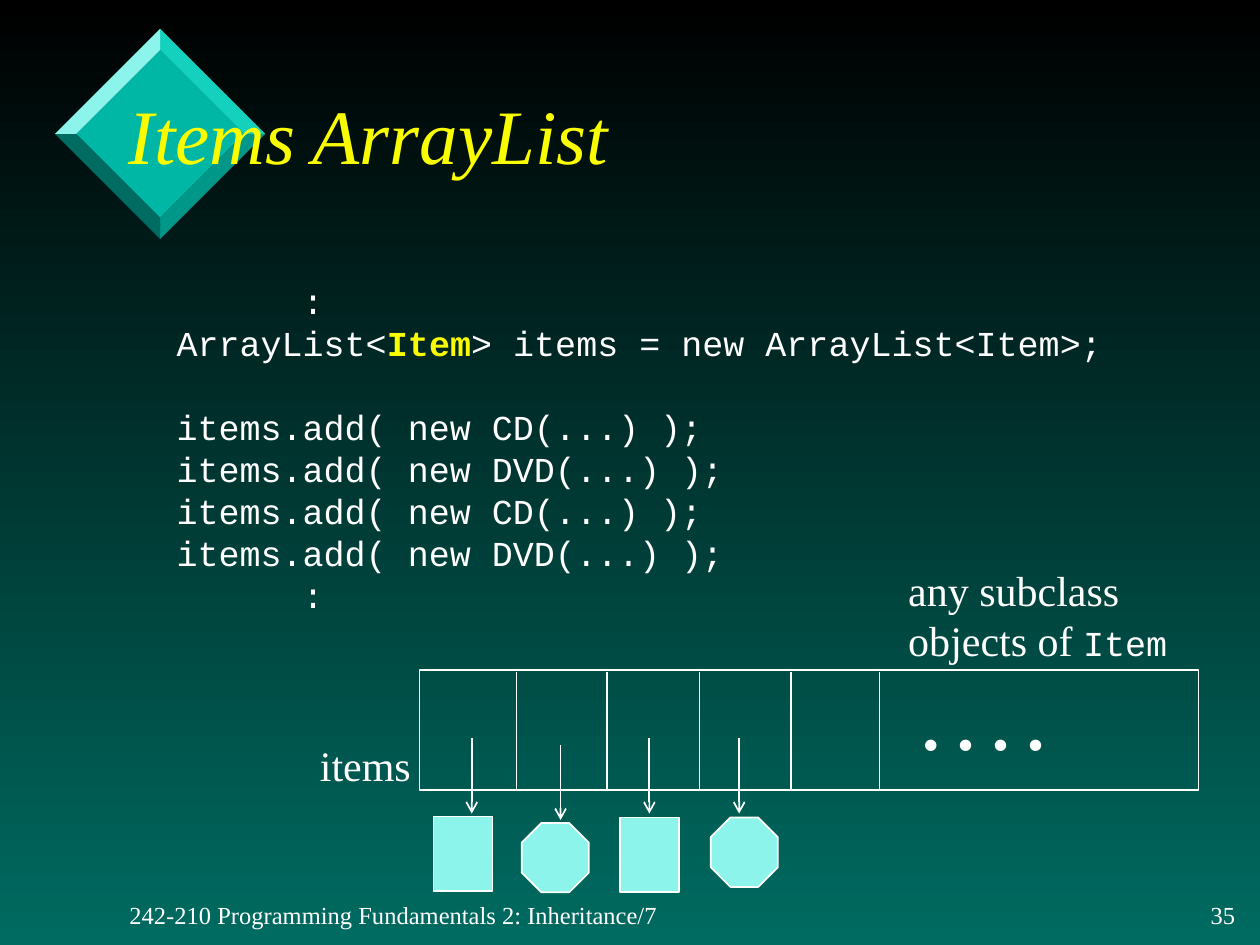
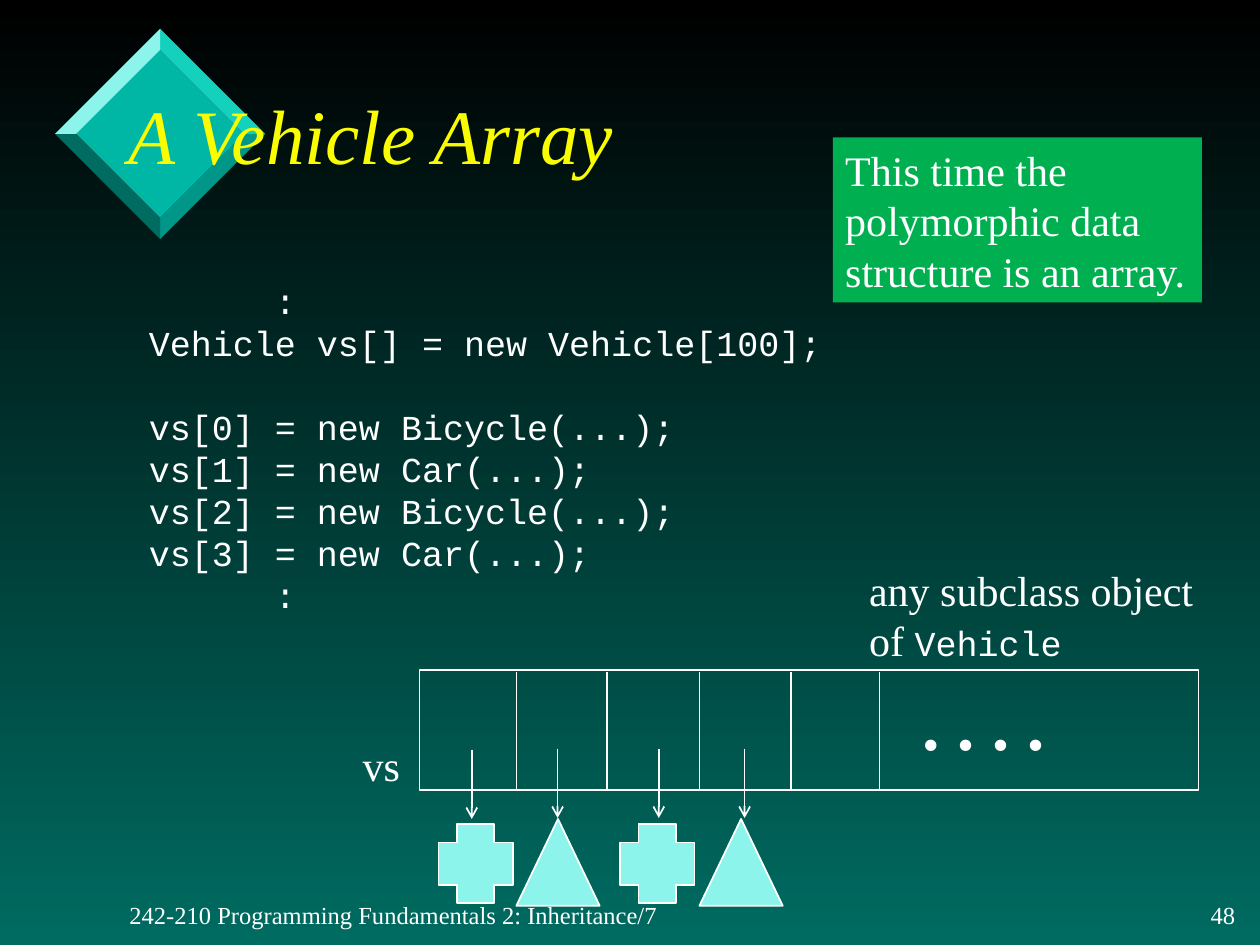
"""Build two slides on arrays that hold objects of several subclasses."""
from dataclasses import dataclass, field
from typing import Any, NamedTuple

from lxml import etree
from pptx import Presentation
from pptx import util as u
from pptx.dml.color import RGBColor
from pptx.enum import shapes, text
from pptx.oxml import ns

WHITE, YELLOW, AQUA, GREEN = "FFFFFF", "FAFD00", "8CF4EA", "00B050"
BLACK, DARK_TEAL, TEAL = "000000", "006B61", "00B7A5"
SERIF, MONO = "Times New Roman", "Courier New"
FACETS = ("14D1BE", "009688", DARK_TEAL, AQUA)
FOOTER = "242-210 Programming Fundamentals 2: Inheritance/7"
DIAMOND_CENTER, DIAMOND_OUTER, DIAMOND_INNER = (3.23, 2.7), 2.12, 1.69
DIVIDERS = (10.41, 12.24, 14.1, 15.95, 17.73)
CODE_SIZE, COLON_INDENT = 20, 2.54


class Box(NamedTuple):
    """Left, top, width and height in centimetres."""
    left: float
    top: float
    width: float
    height: float

    def lengths(self) -> list[int]:
        """Return the four values as slide lengths."""
        return [u.Cm(value) for value in self]


@dataclass
class Run:
    """A stretch of text in one format."""
    words: str
    size: float = 24
    font: str = SERIF
    color: str = WHITE
    bold: bool = False
    italic: bool = False


@dataclass
class Line:
    """A paragraph made of runs."""
    runs: list[Run]
    indent: float = 0
    before: float = 0
    align: Any = text.PP_ALIGN.LEFT


class Element(NamedTuple):
    """An object in the array and the arrow that points to it."""
    kind: Any
    box: Box
    arrow_left: float
    arrow_top: float


@dataclass
class ArraySlide:
    """The contents of one slide."""
    title: str
    number: str
    code_box: Box
    code: list[Line]
    name: str
    name_box: Box
    note: list[Line]
    note_box: Box
    elements: list[Element]
    arrow_length: float
    callout: list[str] = field(default_factory=list)


def rgb(color: str) -> RGBColor:
    """Turn a hex string into a colour."""
    return RGBColor.from_string(color)


def set_values(target: Any, values: dict[str, Any]) -> None:
    """Set every named attribute on the target."""
    for name, value in values.items():
        setattr(target, name, value)


def code_line(*runs: Run | str, indent: float = 0, before: float = 0) -> Line:
    """Make a line of program text."""
    return Line([run if isinstance(run, Run) else Run(run, CODE_SIZE, MONO)
                 for run in runs], indent, before)


def code_block(declaration: Line, assignments: list[str]) -> list[Line]:
    """Put the declaration and the assignments between two colons."""
    first, *others = assignments
    return [code_line(":", indent=COLON_INDENT, before=3), declaration,
            code_line(first, before=1.2 * CODE_SIZE), *map(code_line, others),
            code_line(":", indent=COLON_INDENT)]


def style(shape: Any, fill: str | None = None, line: str | None = None) -> None:
    """Give a shape its fill and its outline."""
    shape.shadow.inherit = False
    for paint, color in ((shape.fill, fill), (shape.line.fill, line)):
        if color:
            paint.solid()
            paint.fore_color.rgb = rgb(color)
        else:
            paint.background()
    if line:
        shape.line.width = u.Pt(1)


def write(shape: Any, lines: list[Line], wrap: bool = False,
          anchor: Any = text.MSO_ANCHOR.TOP) -> None:
    """Write the lines into a shape."""
    frame = shape.text_frame
    set_values(frame, {
        "word_wrap": wrap, "vertical_anchor": anchor,
        "margin_left": u.Cm(0.25), "margin_right": u.Cm(0.25),
        "margin_top": u.Cm(0.13), "margin_bottom": u.Cm(0.13)})
    for index, line in enumerate(lines):
        paragraph = frame.add_paragraph() if index else frame.paragraphs[0]
        largest = max(run.size for run in line.runs)
        set_values(paragraph, {
            "alignment": line.align, "space_before": u.Pt(line.before),
            "line_spacing": u.Pt(1.2 * largest)})
        if line.indent:
            properties = paragraph._p.get_or_add_pPr()
            properties.set("marL", str(u.Cm(line.indent)))
            properties.set("indent", "0")
        for run in line.runs:
            piece = paragraph.add_run()
            piece.text = run.words
            set_values(piece.font, {"size": u.Pt(run.size), "name": run.font,
                                    "bold": run.bold, "italic": run.italic})
            piece.font.color.rgb = rgb(run.color)


def add_text(slide: Any, box: Box, lines: list[Line], **options: Any) -> None:
    """Add a text box."""
    write(slide.shapes.add_textbox(*box.lengths()), lines, **options)


def add_shape(slide: Any, kind: Any, box: Box, fill: str | None = None,
              line: str | None = None) -> Any:
    """Add a preset shape."""
    shape = slide.shapes.add_shape(kind, *box.lengths())
    style(shape, fill, line)
    return shape


def add_vertical(slide: Any, left: float, top: float, length: float,
                 arrow: bool = False) -> None:
    """Add a vertical line that may end in an arrowhead."""
    connector = slide.shapes.add_connector(
        shapes.MSO_CONNECTOR.STRAIGHT, u.Cm(left), u.Cm(top),
        u.Cm(left), u.Cm(top + length))
    connector.line.color.rgb = rgb(WHITE)
    connector.line.width = u.Pt(1)
    if arrow:
        etree.SubElement(connector.line._get_or_add_ln(), ns.qn("a:tailEnd"),
                         type="arrow")
    etree.SubElement(connector._element.spPr, ns.qn("a:effectLst"))


def add_polygon(slide: Any, points: list[tuple[float, float]], fill: str) -> None:
    """Add a closed outline."""
    start, *others = [(u.Cm(x), u.Cm(y)) for x, y in points]
    builder = slide.shapes.build_freeform(*start)
    builder.add_line_segments(others, close=True)
    style(builder.convert_to_shape(), fill)


def diamond_corners(radius: float) -> list[tuple[float, float]]:
    """Return the top, right, bottom and left corners."""
    x, y = DIAMOND_CENTER
    return [(x, y - radius), (x + radius, y), (x, y + radius), (x - radius, y)]


def add_diamond(slide: Any) -> None:
    """Draw the bevelled diamond behind the title."""
    inner, outer = diamond_corners(DIAMOND_INNER), diamond_corners(DIAMOND_OUTER)
    add_polygon(slide, inner, TEAL)
    for index, color in enumerate(FACETS):
        after = (index + 1) % len(FACETS)
        add_polygon(slide, [inner[index], outer[index], outer[after],
                            inner[after]], color)


def add_frame(slide: Any, title: str, number: str) -> None:
    """Draw the background, diamond, footer and title."""
    fill = slide.background.fill
    fill.gradient()
    fill.gradient_angle = 270
    for stop, color in zip(fill.gradient_stops, (BLACK, DARK_TEAL)):
        stop.color.rgb = rgb(color)
    for stop, position in zip(fill.gradient_stops, (0, 1)):
        stop.position = position
    add_diamond(slide)
    middle = text.MSO_ANCHOR.MIDDLE
    add_text(slide, Box(2.36, 18.01, 11.35, 0.84), [Line([Run(FOOTER, 14)])],
             anchor=middle)
    add_text(slide, Box(24.08, 18.01, 1.07, 0.84),
             [Line([Run(number, 14)], align=text.PP_ALIGN.RIGHT)], anchor=middle)
    add_text(slide, Box(2.34, 1.17, 21.62, 3.07),
             [Line([Run(title, 44, color=YELLOW, italic=True)])],
             wrap=True, anchor=middle)


def add_array(slide: Any) -> None:
    """Draw the array cells and the dots for those that follow."""
    add_shape(slide, shapes.MSO_SHAPE.RECTANGLE, Box(8.46, 13.51, 15.7, 2.41),
              line=WHITE)
    for left in DIVIDERS:
        add_vertical(slide, left, 13.54, 2.41)
    add_text(slide, Box(18.34, 13.59, 5.69, 1.98),
             [Line([Run(". . . .", 40, bold=True)])], wrap=True)


def add_array_slide(presentation: Any, content: ArraySlide) -> None:
    """Add one slide with its code and its array."""
    slide = presentation.slides.add_slide(presentation.slide_layouts[6])
    add_frame(slide, content.title, content.number)
    add_text(slide, content.code_box, content.code, wrap=True)
    add_array(slide)
    add_text(slide, content.name_box, [Line([Run(content.name)])])
    add_text(slide, content.note_box, content.note)
    for element in content.elements:
        add_shape(slide, element.kind, element.box, AQUA, WHITE)
        add_vertical(slide, element.arrow_left, element.arrow_top,
                     content.arrow_length, arrow=True)
    if content.callout:
        callout = add_shape(slide, shapes.MSO_SHAPE.RECTANGLE,
                            Box(16.79, 2.77, 7.44, 3.33), GREEN)
        write(callout, [Line([Run(words)]) for words in content.callout],
              anchor=text.MSO_ANCHOR.MIDDLE)


KIND = shapes.MSO_SHAPE
SLIDES = [
    ArraySlide(
        "Items ArrayList", "35", Box(3.31, 5.51, 20.19, 7.19),
        code_block(
            code_line("ArrayList<", Run("Item", CODE_SIZE, MONO, YELLOW, True),
                      "> items = new ArrayList<Item>;"),
            [f"items.add( new {name}(...) );" for name in ("CD", "DVD") * 2]),
        "items", Box(6.2, 14.78, 2.36, 1.27),
        [Line([Run("any subclass")]),
         Line([Run("objects of "), Run("Item", CODE_SIZE, MONO)])],
        Box(18.06, 11.25, 5.77, 2.31),
        [Element(KIND.RECTANGLE, Box(8.74, 16.46, 1.19, 1.5), 9.51, 14.88),
         Element(KIND.OCTAGON, Box(10.52, 16.59, 1.35, 1.4), 11.3, 15.01),
         Element(KIND.RECTANGLE, Box(12.5, 16.48, 1.19, 1.5), 13.09, 14.88),
         Element(KIND.OCTAGON, Box(14.33, 16.48, 1.35, 1.4), 14.9, 14.88)],
        1.52),
    ArraySlide(
        "A Vehicle Array", "48", Box(2.75, 5.51, 21.66, 7.19),
        code_block(
            code_line("Vehicle vs[] = new Vehicle[100];"),
            [f"vs[{index}] = new {name}(...);"
             for index, name in enumerate(("Bicycle", "Car") * 2)]),
        "vs", Box(7.06, 14.78, 1.27, 1.27),
        [Line([Run("any subclass object")]),
         Line([Run("of "), Run("Vehicle", CODE_SIZE, MONO)])],
        Box(17.27, 11.25, 7.32, 2.31),
        [Element(KIND.CROSS, Box(8.84, 16.61, 1.5, 1.6), 9.51, 15.11),
         Element(KIND.ISOSCELES_TRIANGLE, Box(10.41, 16.51, 1.68, 1.75), 11.24, 15.09),
         Element(KIND.CROSS, Box(12.5, 16.61, 1.5, 1.6), 13.28, 15.09),
         Element(KIND.ISOSCELES_TRIANGLE, Box(14.1, 16.51, 1.68, 1.75), 15.01, 15.09)],
        1.4,
        ["This time the", "polymorphic data", "structure is an array."]),
]


def main() -> None:
    """Build and save the presentation."""
    presentation = Presentation()
    set_values(presentation, {"slide_width": u.Cm(25.4),
                              "slide_height": u.Cm(19.05)})
    for content in SLIDES:
        add_array_slide(presentation, content)
    presentation.save("out.pptx")


if __name__ == "__main__":
    main()
